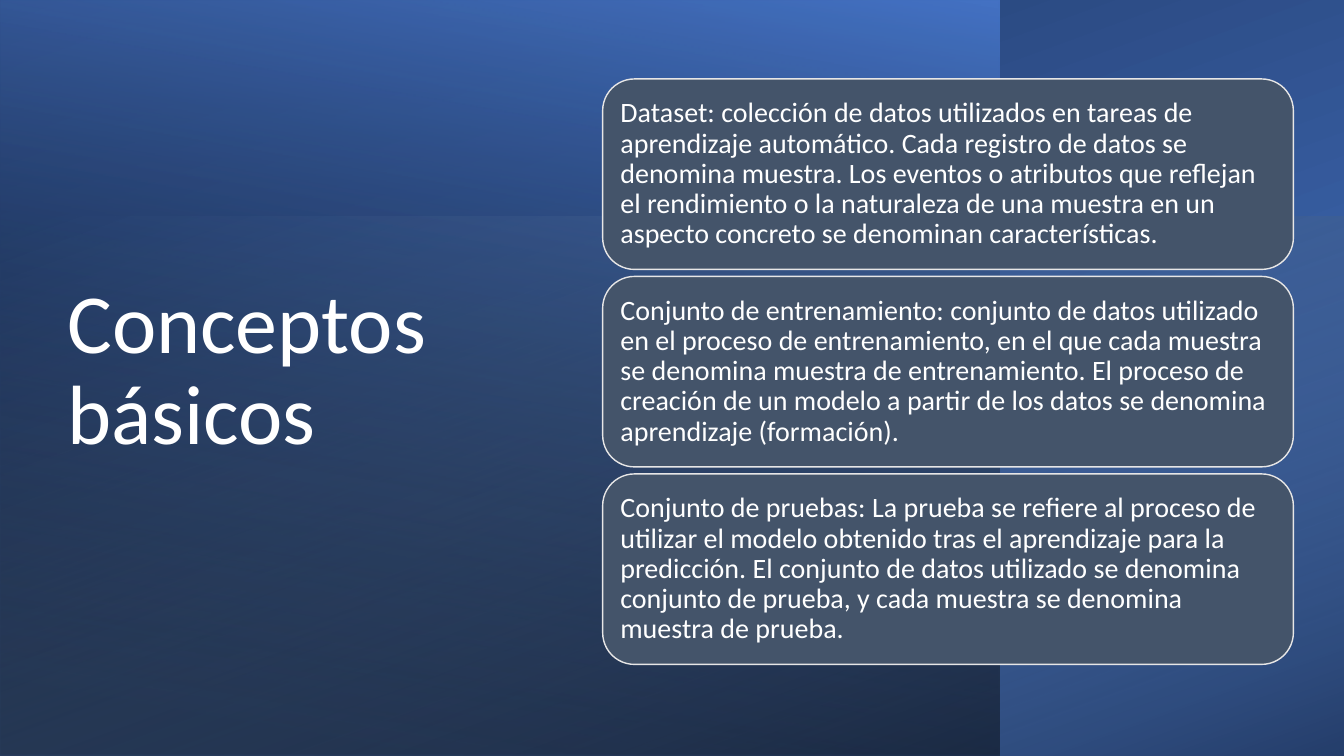
import pptx
import pptx.util
import pptx.oxml
import pptx.dml.color
import pptx.enum.shapes
import pptx.enum.text

Pt = pptx.util.Pt
SHAPES = pptx.enum.shapes.MSO_SHAPE
COLOURS = {
    "blue": "4472C4",
    "navy": "203864",
    "sky": "9DC3E6",
    "black": "000000",
    "slate": "44546A",
    "border": "E7E6E6",
    "white": "FFFFFF",
}
CONCEPTS = [
    "Dataset: colección de datos utilizados en tareas de aprendizaje automático. "
    "Cada registro de datos se denomina muestra. Los eventos o atributos que reflejan "
    "el rendimiento o la naturaleza de una muestra en un aspecto concreto se denominan "
    "características.",
    "Conjunto de entrenamiento: conjunto de datos utilizado en el proceso de "
    "entrenamiento, en el que cada muestra se denomina muestra de entrenamiento. "
    "El proceso de creación de un modelo a partir de los datos se denomina "
    "aprendizaje (formación).",
    "Conjunto de pruebas: La prueba se refiere al proceso de utilizar el modelo "
    "obtenido tras el aprendizaje para la predicción. El conjunto de datos utilizado "
    "se denomina conjunto de prueba, y cada muestra se denomina muestra de prueba.",
]


def rgb(name):
    return pptx.dml.color.RGBColor.from_string(COLOURS[name])


def write_text(shape, text, size, colour="white", font="Calibri", inset=(7.2, 3.6)):
    frame = shape.text_frame
    frame.word_wrap = True
    frame.vertical_anchor = pptx.enum.text.MSO_ANCHOR.MIDDLE
    frame.margin_left = frame.margin_right = Pt(inset[0])
    frame.margin_top = frame.margin_bottom = Pt(inset[1])
    paragraph = frame.paragraphs[0]
    paragraph.alignment = pptx.enum.text.PP_ALIGN.LEFT
    paragraph.line_spacing = 0.9
    run = paragraph.add_run()
    run.text = text
    run.font.size = Pt(size)
    run.font.name = font
    run.font.color.rgb = rgb(colour)


def add_gradient_panel(slide, box, rotation, stops, angle):
    """Stops are (position %, colour, opacity %); box is the unrotated frame."""
    shape = slide.shapes.add_shape(SHAPES.RECTANGLE, *map(Pt, box))
    shape.shadow.inherit = False
    shape.line.fill.background()
    shape.rotation = rotation
    properties = shape._element.spPr
    properties.xfrm.set("flipH", "1")
    stop_xml = "".join(
        f'<a:gs pos="{position * 1000}"><a:srgbClr val="{COLOURS[colour]}">'
        f'<a:alpha val="{opacity * 1000}"/></a:srgbClr></a:gs>'
        for position, colour, opacity in stops
    )
    gradient = pptx.oxml.parse_xml(
        '<a:gradFill xmlns:a="http://schemas.openxmlformats.org/drawingml/2006/main">'
        f'<a:gsLst>{stop_xml}</a:gsLst><a:lin ang="{angle * 60000}" scaled="0"/></a:gradFill>'
    )
    properties.prstGeom.addnext(gradient)


def add_background(slide, width, height):
    # Base layer, turned on its side to cover the slide
    offset = (width - height) / 2
    add_gradient_panel(slide, (offset, -offset, height, width), 270,
                       [(8, "blue", 100), (100, "navy", 100)], 200)
    # Left panel
    add_gradient_panel(slide, (0, 0, 714, height), 180,
                       [(8, "black", 52), (100, "blue", 100)], 80)
    # Shade over the lower part
    depth = 385.2
    add_gradient_panel(slide, ((width - depth) / 2, height - (width + depth) / 2, depth, width),
                       270, [(0, "sky", 0), (100, "black", 46)], 20)


def add_title(slide, left, top, width, height):
    title = slide.shapes.add_textbox(Pt(left), Pt(top), Pt(width), Pt(height))
    write_text(title, "Conceptos básicos", size=60)


def add_concepts(slide, left, top, width, height, gap=5):
    card_height = (height - gap * (len(CONCEPTS) - 1)) / len(CONCEPTS)
    for index, concept in enumerate(CONCEPTS):
        card_top = top + index * (card_height + gap)
        card = slide.shapes.add_shape(SHAPES.ROUNDED_RECTANGLE, Pt(left), Pt(card_top),
                                      Pt(width), Pt(card_height))
        card.shadow.inherit = False
        card.fill.solid()
        card.fill.fore_color.rgb = rgb("slate")
        card.line.color.rgb = rgb("border")
        card.line.width = Pt(1)
        write_text(card, concept, size=20, inset=(6, 6))


def main():
    width, height = 960, 540
    presentation = pptx.Presentation()
    presentation.slide_width, presentation.slide_height = Pt(width), Pt(height)
    slide = presentation.slides.add_slide(presentation.slide_layouts[6])
    add_background(slide, width, height)
    add_title(slide, 41, 49, 299.5, 433.5)
    add_concepts(slide, 430.5, 56.4, 493.4, 418.2)
    presentation.save("out.pptx")


if __name__ == "__main__":
    main()
